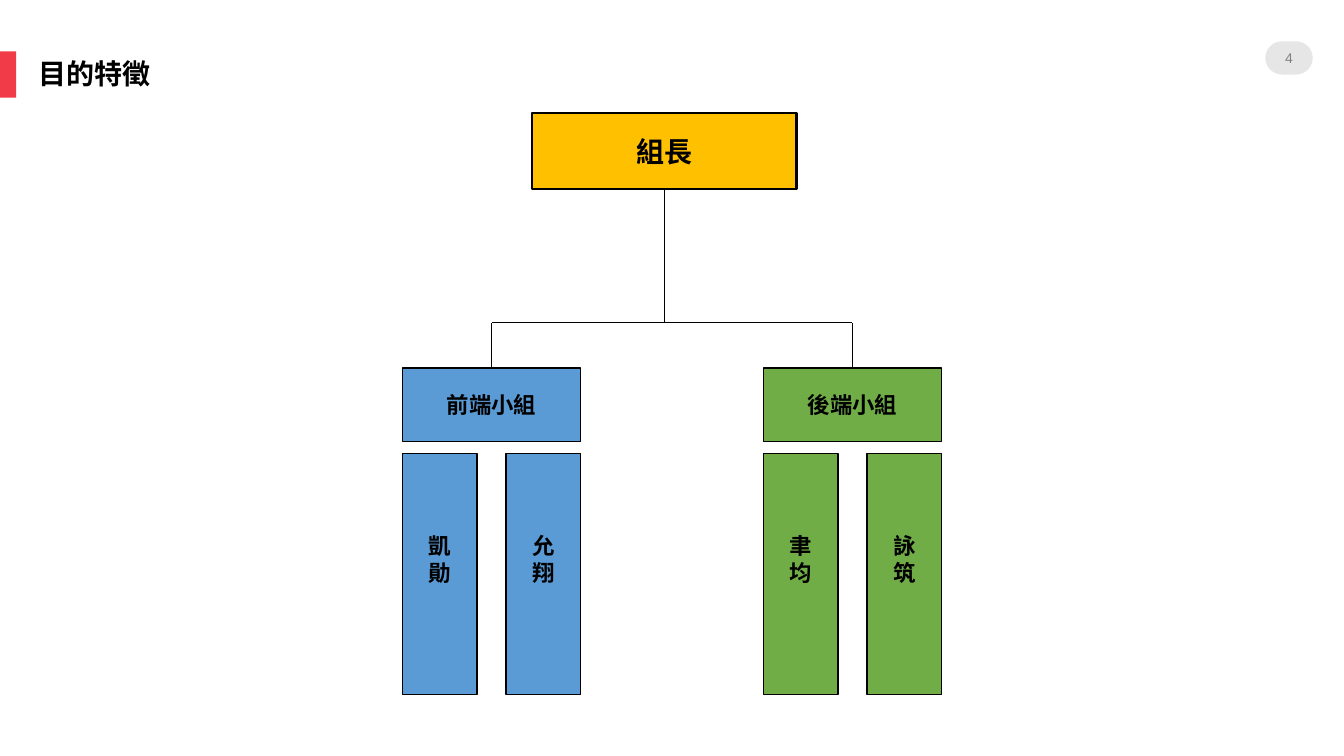
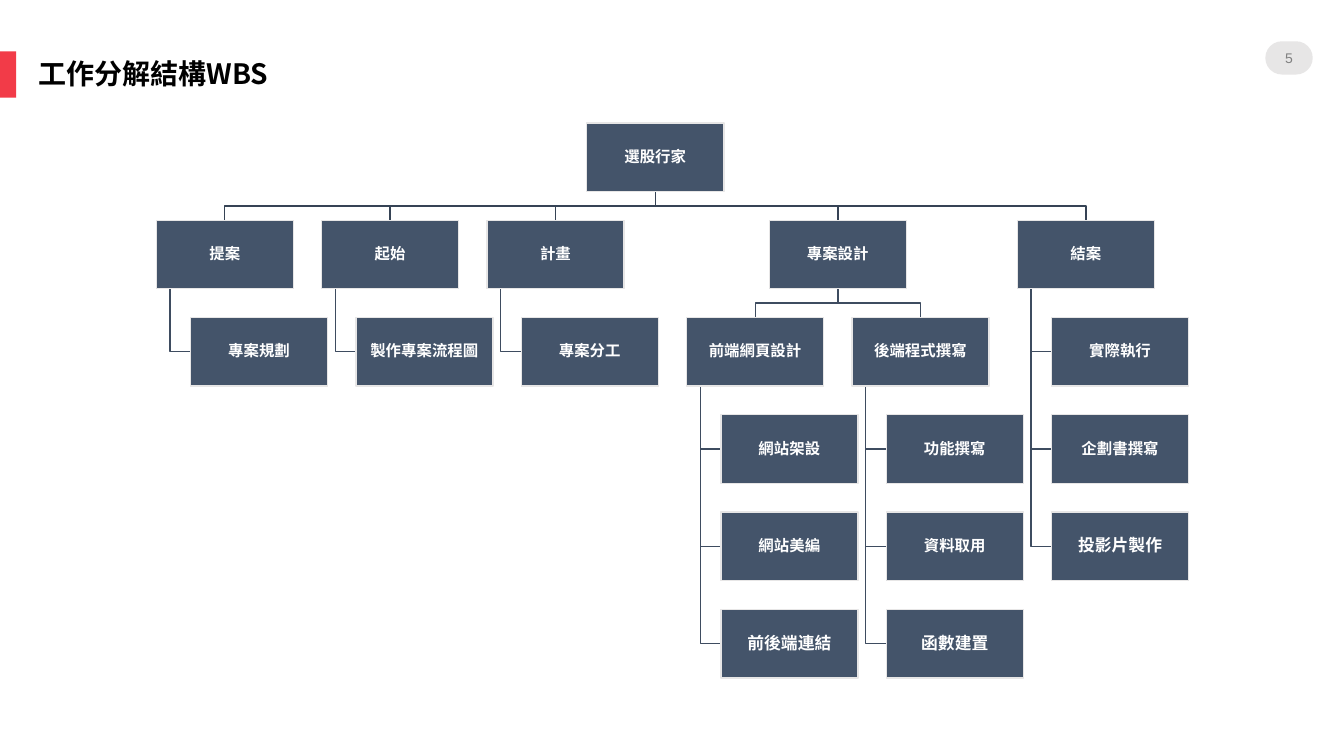
from dataclasses import dataclass

from lxml import etree
from pptx import Presentation
from pptx.dml.color import RGBColor
from pptx.enum.shapes import MSO_CONNECTOR, MSO_SHAPE
from pptx.enum.text import MSO_ANCHOR, MSO_AUTO_SIZE, PP_ALIGN
from pptx.oxml.ns import qn
from pptx.util import Inches, Pt

RECTANGLE, ROUNDED = MSO_SHAPE.RECTANGLE, MSO_SHAPE.ROUNDED_RECTANGLE
STRAIGHT = MSO_CONNECTOR.STRAIGHT
TOP, MIDDLE = MSO_ANCHOR.TOP, MSO_ANCHOR.MIDDLE
LEFT, CENTER = PP_ALIGN.LEFT, PP_ALIGN.CENTER
TOP_SIDE, BOTTOM_SIDE = 0, 2

# Content
TEAM_TITLE, TEAM_PAGE = "目的特徵", "4"
LEADER = "組長"
TEAMS = [
    # name, fill role, left edge, members
    ("前端小組", "front", 3.99, ["凱勛", "允翔"]),
    ("後端小組", "back", 7.57, ["聿均", "詠筑"]),
]

WBS_TITLE, WBS_PAGE = "工作分解結構WBS", "5"
WBS_ROOT = "選股行家"
WBS_TREE = {
    "提案": {"專案規劃": {}},
    "起始": {"製作專案流程圖": {}},
    "計畫": {"專案分工": {}},
    "專案設計": {
        "前端網頁設計": {"網站架設": {}, "網站美編": {}, "前後端連結": {}},
        "後端程式撰寫": {"功能撰寫": {}, "資料取用": {}, "函數建置": {}},
    },
    "結案": {"實際執行": {}, "企劃書撰寫": {}, "投影片製作": {}},
}
LARGER_TASKS = {"前後端連結", "函數建置", "投影片製作"}


@dataclass(frozen=True)
class Theme:
    font: str = "Noto Sans CJK SC"
    number_font: str = "Arial"
    ink: str = "000000"
    white: str = "FFFFFF"
    accent: str = "F23B48"
    pale: str = "E7E6E6"
    number: str = "808080"
    leader: str = "FFC000"
    front: str = "5B9BD5"
    back: str = "70AD47"
    node: str = "44546A"
    root_link: str = "364355"
    link: str = "3E4C60"
    title_size: int = 20
    team_size: int = 16
    task_size: int = 11
    larger_task_size: int = 12
    number_size: int = 10


THEME = Theme()


# Helpers
def color(value):
    return RGBColor.from_string(value)


def add_run(paragraph, text, size, ink, bold=True, font=THEME.font):
    run = paragraph.add_run()
    run.text = text
    run.font.size, run.font.bold = Pt(size), bold
    run.font.color.rgb = color(ink)
    run.font.name = font
    east_asian = etree.SubElement(run.font._element, qn("a:ea"))
    east_asian.set("typeface", font)


def write(shape, lines, size, ink, spacing=None, inset=0.05, bottom=None, **style):
    frame = shape.text_frame
    frame.word_wrap = True
    frame.vertical_anchor = MIDDLE
    frame.margin_left = frame.margin_right = frame.margin_top = Inches(inset)
    frame.margin_bottom = Inches(inset if bottom is None else bottom)
    for index, line in enumerate(lines):
        paragraph = frame.add_paragraph() if index else frame.paragraphs[0]
        paragraph.alignment = CENTER
        if spacing:
            paragraph.line_spacing = spacing
        add_run(paragraph, line, size, ink, **style)


def add_box(slide, box, fill, line=None, width=1, kind=RECTANGLE):
    shape = slide.shapes.add_shape(kind, *map(Inches, box))
    shape.shadow.inherit = False
    shape.fill.solid()
    shape.fill.fore_color.rgb = color(fill)
    if line:
        shape.line.color.rgb = color(line)
        shape.line.width = Pt(width)
    else:
        shape.line.fill.background()
    return shape


def add_line(slide, start, end):
    connector = slide.shapes.add_connector(STRAIGHT, *map(Inches, start + end))
    connector.line.color.rgb = color(THEME.ink)
    connector.line.width = Pt(1)
    etree.SubElement(connector._element.spPr, qn("a:effectLst"))
    return connector


def add_polyline(slide, points, ink):
    corners = [(Inches(x), Inches(y)) for x, y in points]
    builder = slide.shapes.build_freeform(*corners[0])
    builder.add_line_segments(corners[1:], close=False)
    shape = builder.convert_to_shape()
    shape.shadow.inherit = False
    shape.fill.background()
    shape.line.color.rgb = color(ink)
    shape.line.width = Pt(1)


# Shared layout: title place, accent bar and number badge
def prepare_layout(presentation):
    layout = presentation.slide_layouts[5]
    for placeholder in list(layout.placeholders):
        if placeholder.placeholder_format.idx:
            layout.shapes.element.remove(placeholder.element)
    title = layout.placeholders[0]
    title.left, title.top = Inches(0.28), Inches(0.55)
    title.width, title.height = Inches(4.17), Inches(0.46)
    title.text_frame.vertical_anchor = TOP
    title.text_frame.auto_size = MSO_AUTO_SIZE.NONE
    return layout


def decorate_layout(layout, slide):
    bar = add_box(slide, (0, 0.51, 0.16, 0.46), THEME.accent)
    badge = add_box(slide, (12.55, 0.41, 0.47, 0.33), THEME.pale, kind=ROUNDED)
    badge.adjustments[0] = 0.5
    for shape in (bar, badge):
        layout.shapes.element.append(shape.element)


def add_slide(presentation, layout, title, page):
    slide = presentation.slides.add_slide(layout)
    paragraph = slide.shapes.title.text_frame.paragraphs[0]
    paragraph.alignment = LEFT
    paragraph.line_spacing = 0.9
    add_run(paragraph, title, THEME.title_size, THEME.ink)
    number = slide.shapes.add_textbox(*map(Inches, (12.55, 0.36, 0.47, 0.43)))
    write(number, [page], THEME.number_size, THEME.number, inset=0,
          bold=False, font=THEME.number_font)
    return slide


# Team chart
def draw_teams(slide):
    team_width, team_top, team_height = 1.77, 3.65, 0.73
    member_width, member_top, member_height = 0.74, 4.5, 2.39
    leader_left, leader_top, leader_width, leader_height = 5.28, 1.12, 2.62, 0.76
    bar_top = 3.2

    leader = add_box(slide, (leader_left, leader_top, leader_width, leader_height),
                     THEME.leader, THEME.ink, 1.5)
    write(leader, [LEADER], THEME.title_size, THEME.ink)
    middle = leader_left + leader_width / 2
    stem = add_line(slide, (middle, leader_top + leader_height), (middle, bar_top))
    stem.begin_connect(leader, BOTTOM_SIDE)

    centers = []
    for name, role, left, members in TEAMS:
        fill = getattr(THEME, role)
        team = add_box(slide, (left, team_top, team_width, team_height), fill, THEME.ink)
        write(team, [name], THEME.team_size, THEME.ink)
        center = left + team_width / 2
        centers.append(center)
        drop = add_line(slide, (center, team_top), (center, bar_top))
        drop.begin_connect(team, TOP_SIDE)
        step = (team_width - member_width) / (len(members) - 1)
        for index, member in enumerate(members):
            box = add_box(slide, (left + index * step, member_top, member_width,
                                  member_height), fill, THEME.ink)
            write(box, list(member), THEME.team_size, THEME.ink, bottom=0.35)
    add_line(slide, (centers[0], bar_top), (centers[-1], bar_top))


# Work breakdown tree
NODE_WIDTH, NODE_HEIGHT = 1.36, 0.68
NODE_GAP, ROW_PITCH, INDENT = 0.28, 0.965, 0.34
TREE_LEFT, TREE_TOP = 1.55, 1.22


def place_tree(name, children, row, edges, nodes, links):
    """Pack a branch against the row edges on its left; return its left side."""
    hangs = not any(children.values())
    if hangs:
        rows = range(row + 1, row + 1 + len(children))
        left = max([edges.get(row, TREE_LEFT)]
                   + [edges.get(below, TREE_LEFT) - INDENT for below in rows])
        lefts = [left + INDENT] * len(children)
        for child, below in zip(children, rows):
            nodes.append((child, left + INDENT, below))
            edges[below] = left + INDENT + NODE_WIDTH + NODE_GAP
    else:
        rows = [row + 1] * len(children)
        lefts = [place_tree(child, below, row + 1, edges, nodes, links)
                 for child, below in children.items()]
        left = (lefts[0] + lefts[-1]) / 2
    nodes.append((name, left, row))
    edges[row] = left + NODE_WIDTH + NODE_GAP
    links += [(left, row, child_left, child_row, hangs)
              for child_left, child_row in zip(lefts, rows)]
    return left


def link_points(left, row, child_left, child_row, hangs):
    bottom = TREE_TOP + row * ROW_PITCH + NODE_HEIGHT
    child_top = TREE_TOP + child_row * ROW_PITCH
    if hangs:
        x, y = left + NODE_WIDTH / 10, child_top + NODE_HEIGHT / 2
        return [(x, bottom), (x, y), (child_left, y)]
    start, end = left + NODE_WIDTH / 2, child_left + NODE_WIDTH / 2
    middle = (bottom + child_top) / 2
    return [(start, bottom), (start, middle), (end, middle), (end, child_top)]


def draw_tree(slide):
    nodes, links = [], []
    place_tree(WBS_ROOT, WBS_TREE, 0, {}, nodes, links)
    for link in links:
        is_root = link[1] == 0
        add_polyline(slide, link_points(*link), THEME.root_link if is_root else THEME.link)
    for name, left, row in nodes:
        box = (left, TREE_TOP + row * ROW_PITCH, NODE_WIDTH, NODE_HEIGHT)
        size = THEME.larger_task_size if name in LARGER_TASKS else THEME.task_size
        write(add_box(slide, box, THEME.node, THEME.pale), [name], size, THEME.white,
              spacing=0.9, inset=0.01)


def main():
    presentation = Presentation()
    presentation.slide_width, presentation.slide_height = Inches(13.33), Inches(7.5)
    layout = prepare_layout(presentation)
    team_slide = add_slide(presentation, layout, TEAM_TITLE, TEAM_PAGE)
    decorate_layout(layout, team_slide)
    draw_teams(team_slide)
    draw_tree(add_slide(presentation, layout, WBS_TITLE, WBS_PAGE))
    presentation.save("out.pptx")


if __name__ == "__main__":
    main()
